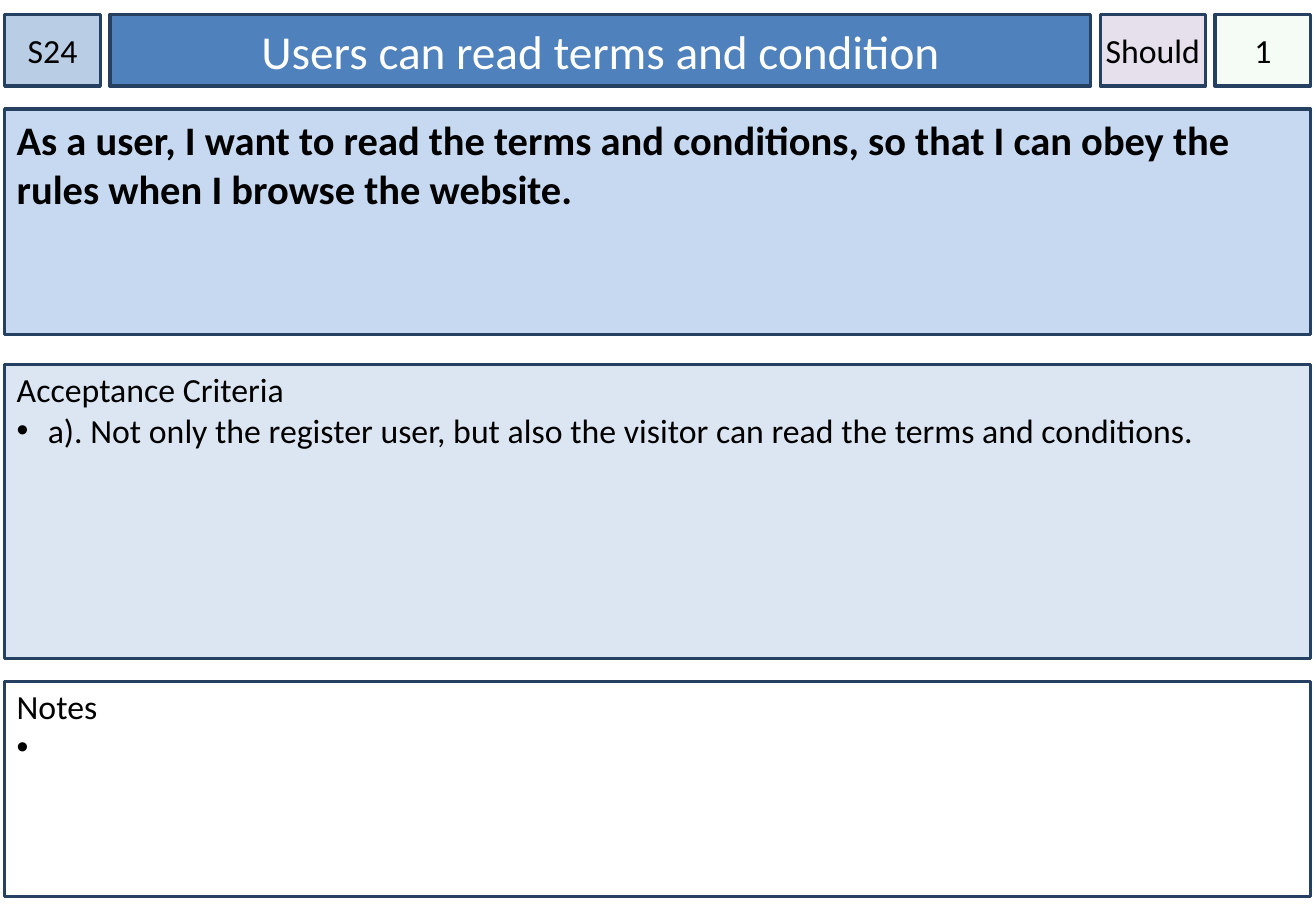
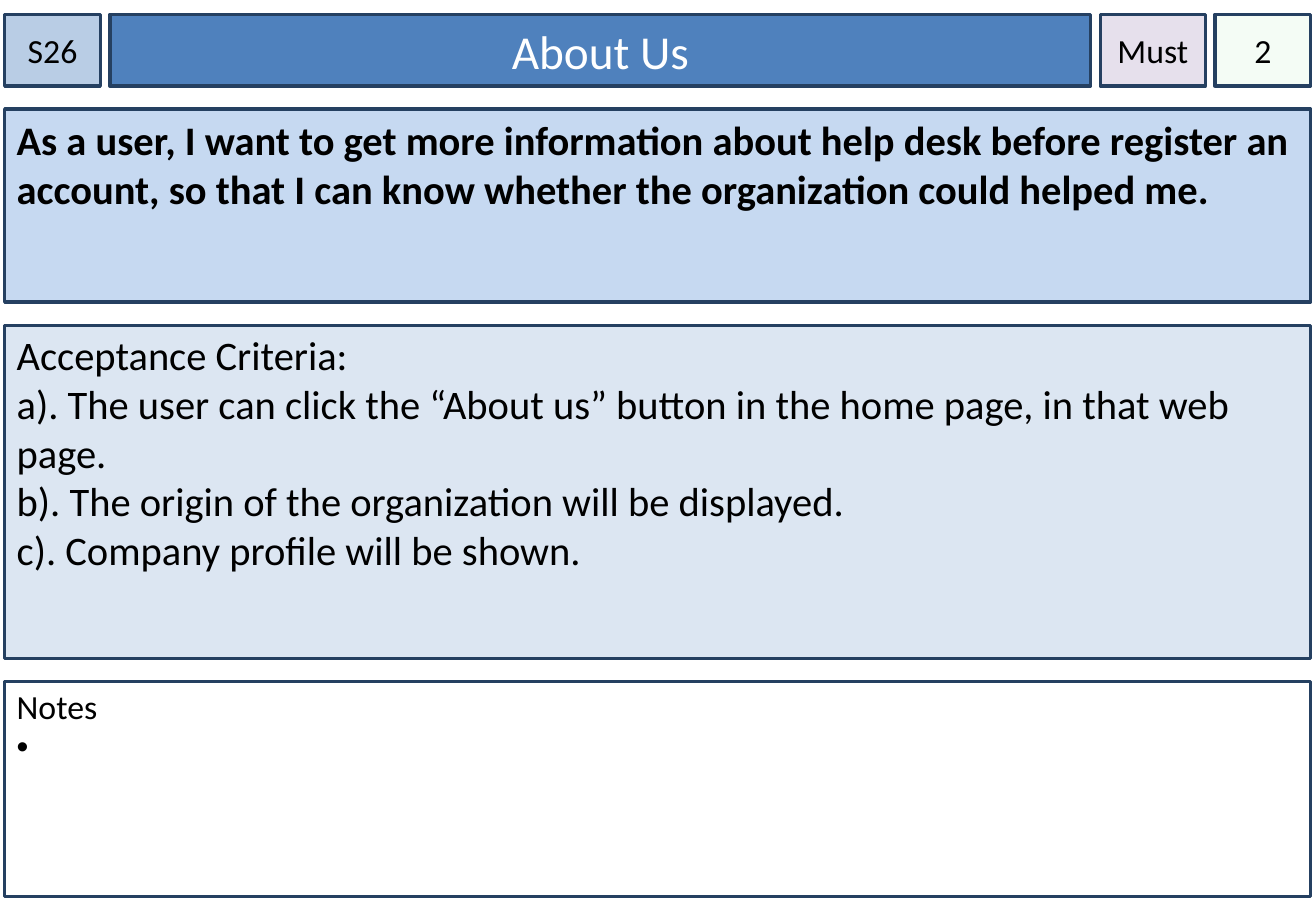
from lxml import etree
from pptx import Presentation
from pptx.dml.color import RGBColor
from pptx.enum import shapes, text
from pptx.oxml import ns
from pptx.util import Cm, Pt

FONT = "Calibri"
BLACK = RGBColor(0x00, 0x00, 0x00)
WHITE = RGBColor(0xFF, 0xFF, 0xFF)
BORDER = RGBColor(0x25, 0x40, 0x61)
ID_FILL = RGBColor(0xB9, 0xCD, 0xE5)
TITLE_FILL = RGBColor(0x4F, 0x81, 0xBD)
PRIORITY_FILL = RGBColor(0xE6, 0xE0, 0xEC)
POINTS_FILL = RGBColor(0xCC, 0xF0, 0xCD)
STORY_FILL = RGBColor(0xC6, 0xD9, 0xF1)
CRITERIA_FILL = RGBColor(0xDC, 0xE6, 0xF2)

LEFT = 0.1
FULL_WIDTH = 27.3
HEADER_TOP, HEADER_HEIGHT, HEADER_GAP = 0.3, 1.5, 0.2
STORY_TOP = 2.28
CRITERIA_BOTTOM = 13.77
NOTES_TOP, NOTES_HEIGHT = 14.25, 4.5
BULLET_INDENT = Cm(0.65)

# Header cells: field, width, fill, text size, text colour, side margin, wrap
HEADER = [
    ("id", 2.0, ID_FILL, 20, BLACK, 0, True),
    ("title", 20.5, TITLE_FILL, 28, WHITE, 0.25, True),
    ("priority", 2.2, PRIORITY_FILL, 20, BLACK, 0, False),
    ("points", 2.0, POINTS_FILL, 20, BLACK, 0, True),
]

# A line is (text, bulleted)
CARDS = [
    {
        "id": "S24",
        "title": "Users can read terms and condition",
        "priority": "Should",
        "points": "1",
        "story": "As a user, I want to read the terms and conditions, "
                 "so that I can obey the rules when I browse the website.",
        "story_height": 4.72,
        "criteria": [
            ("Acceptance Criteria", False),
            ("a). Not only the register user, but also the visitor can read "
             "the terms and conditions.", True),
        ],
        "criteria_top": 7.62,
        "criteria_size": 20,
    },
    {
        "id": "S26",
        "title": "About Us",
        "priority": "Must",
        "points": "2",
        "story": "As a user, I want to get more information about help desk before "
                 "register an account, so that I can know whether the organization "
                 "could helped me.",
        "story_height": 4.04,
        "criteria": [
            ("Acceptance Criteria:", False),
            ("a). The user can click the “About us” button in the home page, "
             "in that web page.", False),
            ("b). The origin of the organization will be displayed.", False),
            ("c). Company profile will be shown.", False),
        ],
        "criteria_top": 6.81,
        "criteria_size": 24,
    },
]
NOTES = [("Notes", False), (" ", True)]


def add_box(slide, left, top, width, height, fill):
    """Add a bordered rectangle, measured in centimetres."""
    box = slide.shapes.add_shape(shapes.MSO_SHAPE.RECTANGLE,
                                 Cm(left), Cm(top), Cm(width), Cm(height))
    box.shadow.inherit = False
    box.fill.solid()
    box.fill.fore_color.rgb = fill
    box.line.color.rgb = BORDER
    box.line.width = Pt(2)
    return box


def write_lines(frame, lines, size, color=BLACK, bold=False,
                align=text.PP_ALIGN.LEFT):
    """Write (text, bulleted) lines, one paragraph each."""
    for index, (words, bulleted) in enumerate(lines):
        paragraph = frame.add_paragraph() if index else frame.paragraphs[0]
        paragraph.alignment = align
        if bulleted:
            properties = paragraph._p.get_or_add_pPr()
            properties.set("marL", str(BULLET_INDENT))
            properties.set("indent", str(-BULLET_INDENT))
            etree.SubElement(properties, ns.qn("a:buFont"), typeface="Arial")
            etree.SubElement(properties, ns.qn("a:buChar"), char="•")
        run = paragraph.add_run()
        run.text = words
        run.font.name = FONT
        run.font.size = Pt(size)
        run.font.bold = bold
        run.font.color.rgb = color


deck = Presentation()
deck.slide_width, deck.slide_height = Cm(27.51), Cm(19.05)

for card in CARDS:
    slide = deck.slides.add_slide(deck.slide_layouts[6])

    left = LEFT
    for field, width, fill, size, color, margin, wrap in HEADER:
        cell = add_box(slide, left, HEADER_TOP, width, HEADER_HEIGHT, fill)
        if field == "points":
            tint = cell.fill._xPr.find(".//" + ns.qn("a:srgbClr"))
            etree.SubElement(tint, ns.qn("a:alpha"), val="20000")
        frame = cell.text_frame
        frame.word_wrap = wrap
        frame.vertical_anchor = text.MSO_ANCHOR.MIDDLE
        frame.margin_left = frame.margin_right = Cm(margin)
        write_lines(frame, [(card[field], False)], size, color,
                    align=text.PP_ALIGN.CENTER)
        left += width + HEADER_GAP

    criteria_height = CRITERIA_BOTTOM - card["criteria_top"]
    panels = [
        (STORY_TOP, card["story_height"], STORY_FILL, 0.13,
         [(card["story"], False)], 24, True),
        (card["criteria_top"], criteria_height, CRITERIA_FILL, 0.1,
         card["criteria"], card["criteria_size"], False),
        (NOTES_TOP, NOTES_HEIGHT, WHITE, 0.1, NOTES, 20, False),
    ]
    for top, height, fill, margin_top, lines, size, bold in panels:
        frame = add_box(slide, LEFT, top, FULL_WIDTH, height, fill).text_frame
        frame.word_wrap = True
        frame.vertical_anchor = text.MSO_ANCHOR.TOP
        frame.margin_top = Cm(margin_top)
        write_lines(frame, lines, size, bold=bold)

deck.save("out.pptx")
